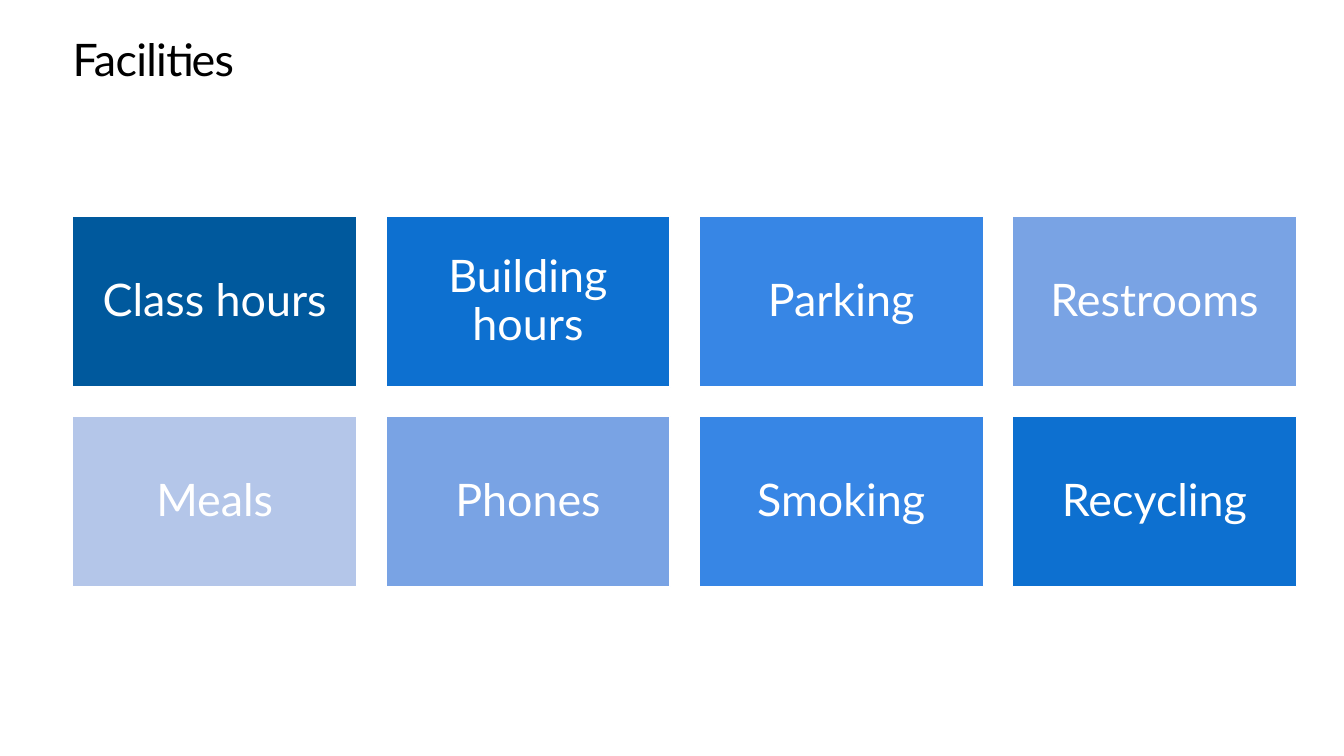
from pptx import Presentation
from pptx import util as u
from pptx.dml.color import RGBColor
from pptx.enum import shapes, text

BLACK = RGBColor(0x00, 0x00, 0x00)
WHITE = RGBColor(0xFF, 0xFF, 0xFF)
NAVY = RGBColor(0x00, 0x59, 0x9D)
BLUE = RGBColor(0x0D, 0x70, 0xD0)
AZURE = RGBColor(0x37, 0x86, 0xE5)
SKY = RGBColor(0x79, 0xA3, 0xE4)
PALE = RGBColor(0xB4, 0xC6, 0xE9)

FACILITIES = [
    ("Class hours", NAVY), ("Building hours", BLUE),
    ("Parking", AZURE), ("Restrooms", SKY),
    ("Meals", PALE), ("Phones", SKY),
    ("Smoking", AZURE), ("Recycling", BLUE),
]
COLUMNS = 4
LEFT, TOP = 0.72, 2.15
TILE_W, TILE_H = 2.82, 1.69
STEP_X, STEP_Y = 3.107, 1.98


def write_text(sp, content, color=BLACK, size=32, align=text.PP_ALIGN.LEFT,
               anchor=text.MSO_ANCHOR.TOP, inset=0, line_spacing=1.0, tracking=0):
    tf = sp.text_frame
    tf.word_wrap = True
    tf.vertical_anchor = anchor
    tf.margin_left = tf.margin_right = u.Inches(inset)
    tf.margin_top = tf.margin_bottom = u.Inches(inset)
    p = tf.paragraphs[0]
    p.alignment = align
    p.line_spacing = line_spacing
    r = p.add_run()
    r.text = content
    r.font.name = "Lato"
    r.font.size = u.Pt(size)
    r.font.color.rgb = color
    if tracking:
        r.font._element.set("spc", str(round(tracking * 100)))


def add_title(s, content):
    sp = s.shapes.add_textbox(u.Inches(LEFT), u.Inches(0.35), u.Inches(11.9), u.Inches(0.5))
    write_text(sp, content, line_spacing=u.Pt(36.2), tracking=-0.5)


def add_tile(s, content, fill, left, top):
    sp = s.shapes.add_shape(shapes.MSO_SHAPE.RECTANGLE, u.Inches(left), u.Inches(top),
                            u.Inches(TILE_W), u.Inches(TILE_H))
    sp.shadow.inherit = False
    sp.fill.solid()
    sp.fill.fore_color.rgb = fill
    sp.line.color.rgb = WHITE
    sp.line.width = u.Pt(1)
    write_text(sp, content, color=WHITE, align=text.PP_ALIGN.CENTER,
               anchor=text.MSO_ANCHOR.MIDDLE, inset=0.13, line_spacing=0.9)


def main():
    prs = Presentation()
    prs.slide_width = u.Inches(13.33)
    prs.slide_height = u.Inches(7.5)
    s = prs.slides.add_slide(prs.slide_layouts[6])
    add_title(s, "Facilities")
    for i, (name, fill) in enumerate(FACILITIES):
        row, col = divmod(i, COLUMNS)
        add_tile(s, name, fill, LEFT + col * STEP_X, TOP + row * STEP_Y)
    prs.save("out.pptx")


if __name__ == "__main__":
    main()
